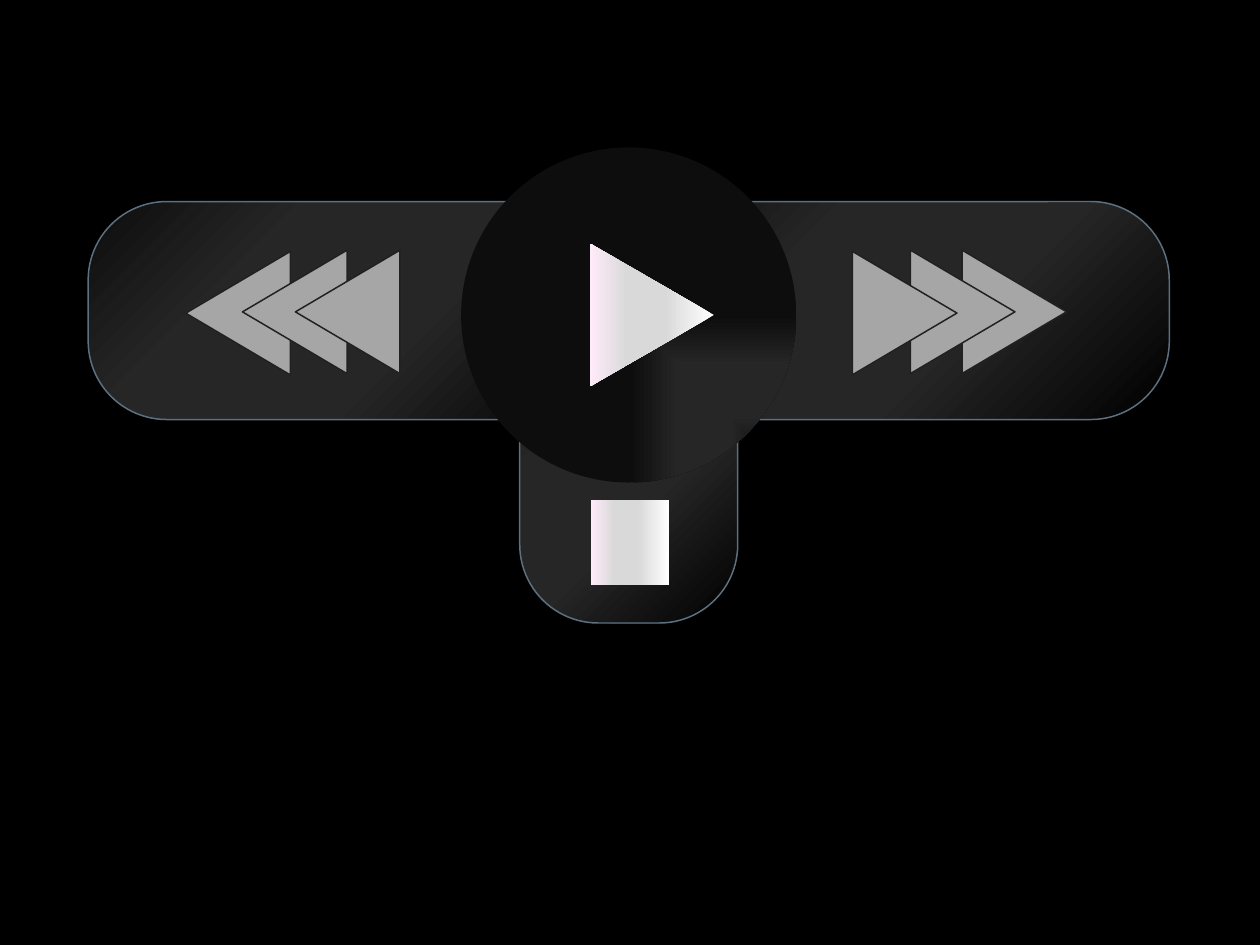
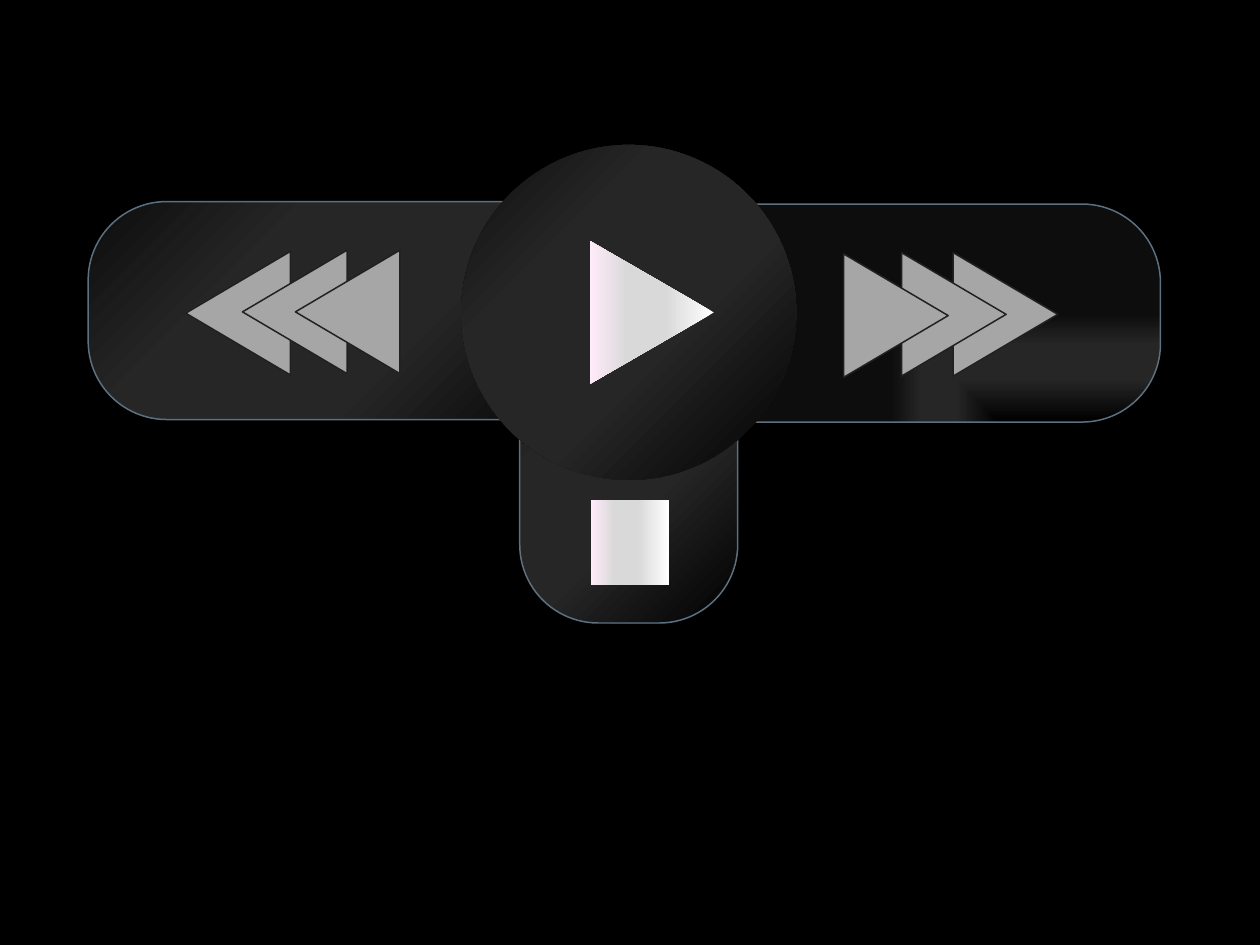
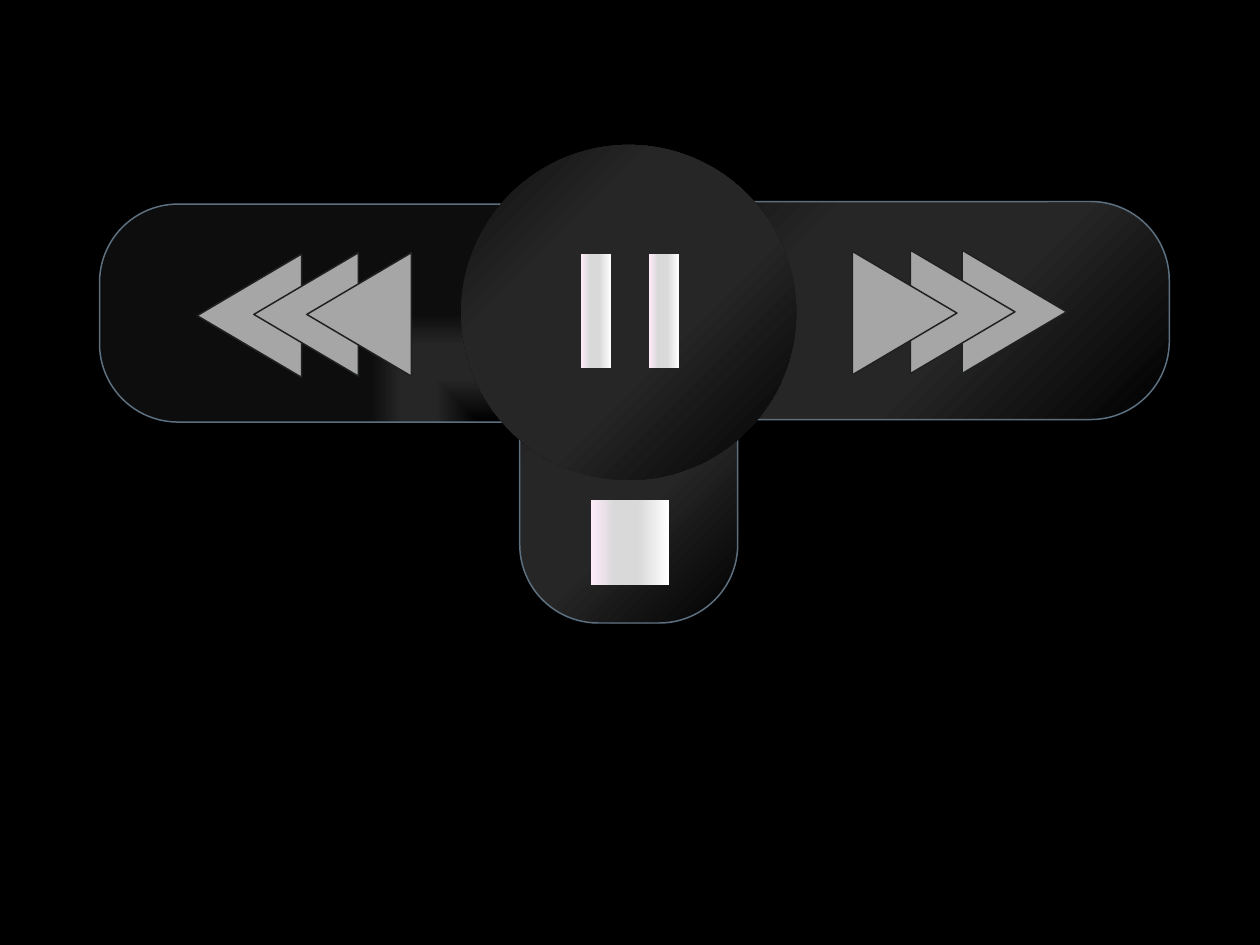
from typing import NamedTuple

from pptx import Presentation
from pptx.dml.color import RGBColor
from pptx.enum.shapes import MSO_SHAPE as Shp
from pptx.oxml import parse_xml
from pptx.oxml.ns import nsdecls, qn
from pptx.shapes.autoshape import Shape
from pptx.shapes.shapetree import GroupShapes
from pptx.util import Inches, Pt

BLACK = RGBColor(0x00, 0x00, 0x00)
COAL = RGBColor(0x26, 0x26, 0x26)
SOOT = RGBColor(0x0D, 0x0D, 0x0D)
WHITE = RGBColor(0xFF, 0xFF, 0xFF)
SILVER = RGBColor(0xD9, 0xD9, 0xD9)
BLUSH = RGBColor(0xFF, 0xEB, 0xFA)
ARROW_GREY = RGBColor(0xA6, 0xA6, 0xA6)
ARROW_EDGE = RGBColor(0x1F, 0x21, 0x23)
BUTTON_EDGE = RGBColor(0x5D, 0x70, 0x80)

DARK_STOPS = ((0, BLACK), (40, COAL), (52, COAL), (70, COAL), (100, SOOT))
LIGHT_STOPS = ((0, WHITE), (40, SILVER), (70, SILVER), (100, BLUSH))
EDGE_WIDTH = Pt(0.85)
CORNER = 0.36
BAR_SIZE = (4.29, 1.73)
ARROW_SIZE = (0.98, 0.83)
DISC_SIZE = (2.66, 2.66)


class Icon(NamedTuple):
    """A light symbol, placed relative to its button."""
    kind: Shp
    dx: float
    dy: float
    width: float
    height: float
    rotation: int = 90
    angle: int = 90


class Seek(NamedTuple):
    """A bar with three arrows; the offsets are relative to the bar."""
    rest: tuple[float, float]
    pressed: tuple[float, float]
    offsets: tuple[tuple[float, float], ...]
    points_left: bool


class Player(NamedTuple):
    """The state of the controls on one slide."""
    pressed: str
    icons: tuple[Icon, ...]


REWIND = Seek((0.7, 1.6), (0.79, 1.62), ((0.7, 0.47), (1.15, 0.46), (1.57, 0.46)), True)
FORWARD = Seek((4.99, 1.6), (4.92, 1.62), ((2.57, 0.46), (2.16, 0.46), (1.7, 0.47)), False)

PLAY = (Icon(Shp.ISOSCELES_TRIANGLE, 0.95, 0.84, 1.13, 0.98),)
PAUSE = tuple(Icon(Shp.RECTANGLE, dx, 1.2, 0.9, 0.24) for dx in (0.62, 1.16))
STOP = Icon(Shp.RECTANGLE, 0.93, 1.12, 0.62, 0.67, rotation=0, angle=180)

PLAYERS = (Player("disc", PLAY), Player("forward", PLAY), Player("rewind", PAUSE))


def add_plain(shapes: GroupShapes, kind: Shp, left: float, top: float,
              width: float, height: float, rotation: int = 0, flip: str = "") -> Shape:
    s = shapes.add_shape(kind, Inches(left), Inches(top), Inches(width), Inches(height))
    s.shadow.inherit = False
    s.rotation = rotation
    s.line.fill.background()
    if flip:
        s._element.spPr.find(qn("a:xfrm")).set(flip, "1")
    return s


def set_gradient(s: Shape, stops: tuple, direction: str) -> None:
    s.fill.gradient()
    stop_xml = "".join(f'<a:gs pos="{pos * 1000}"><a:srgbClr val="{color}"/></a:gs>'
                       for pos, color in stops)
    gradient = parse_xml(f'<a:gradFill {nsdecls("a")} rotWithShape="1">'
                         f"<a:gsLst>{stop_xml}</a:gsLst>{direction}</a:gradFill>")
    sp_pr = s._element.spPr
    sp_pr.replace(sp_pr.find(qn("a:gradFill")), gradient)


def set_dark(s: Shape, pressed: bool) -> None:
    """Shade from the lower right corner; a pressed button gets a square glow."""
    outline = "rect" if pressed else "circle"
    set_gradient(s, DARK_STOPS, f'<a:path path="{outline}">'
                                '<a:fillToRect l="100000" t="100000"/></a:path>')


def set_edge(s: Shape, color: RGBColor) -> None:
    s.line.color.rgb = color
    s.line.width = EDGE_WIDTH


def add_bar(shapes: GroupShapes, left: float, top: float, size: tuple[float, float],
            pressed: bool = False, rotation: int = 0) -> None:
    s = add_plain(shapes, Shp.ROUNDED_RECTANGLE, left, top, *size, rotation, "flipH")
    s.adjustments[0] = CORNER
    set_dark(s, pressed)
    set_edge(s, BUTTON_EDGE)


def add_icon(shapes: GroupShapes, icon: Icon, left: float, top: float) -> None:
    s = add_plain(shapes, icon.kind, left + icon.dx, top + icon.dy,
                  icon.width, icon.height, icon.rotation)
    set_gradient(s, LIGHT_STOPS, f'<a:lin ang="{icon.angle * 60000}" scaled="0"/>')


def add_seek(shapes: GroupShapes, seek: Seek, pressed: bool) -> None:
    left, top = seek.pressed if pressed else seek.rest
    add_bar(shapes, left, top, BAR_SIZE, pressed)
    for dx, dy in seek.offsets:
        s = add_plain(shapes, Shp.ISOSCELES_TRIANGLE, left + dx, top + dy, *ARROW_SIZE,
                      90, "flipV" if seek.points_left else "")
        s.fill.solid()
        s.fill.fore_color.rgb = ARROW_GREY
        set_edge(s, ARROW_EDGE)


def add_stop(shapes: GroupShapes) -> None:
    left, top = 3.76, 2.85
    add_bar(shapes, left, top, (2.46, 1.73), rotation=270)
    add_icon(shapes, STOP, left, top)


def add_disc(shapes: GroupShapes, icons: tuple[Icon, ...], pressed: bool) -> None:
    left, top = 3.66, 1.17 if pressed else 1.15
    set_dark(add_plain(shapes, Shp.OVAL, left, top, *DISC_SIZE), pressed)
    for icon in icons:
        add_icon(shapes, icon, left, top)


def main() -> None:
    prs = Presentation()
    prs.slide_width, prs.slide_height = Inches(10), Inches(7.5)
    background = prs.slide_master.background.fill
    background.solid()
    background.fore_color.rgb = BLACK

    for player in PLAYERS:
        slide = prs.slides.add_slide(prs.slide_layouts[6])
        rewind, stop, forward, disc = (slide.shapes.add_group_shape().shapes for _ in range(4))
        add_seek(rewind, REWIND, player.pressed == "rewind")
        add_stop(stop)
        add_seek(forward, FORWARD, player.pressed == "forward")
        add_disc(disc, player.icons, player.pressed == "disc")

    prs.save("out.pptx")


if __name__ == "__main__":
    main()
